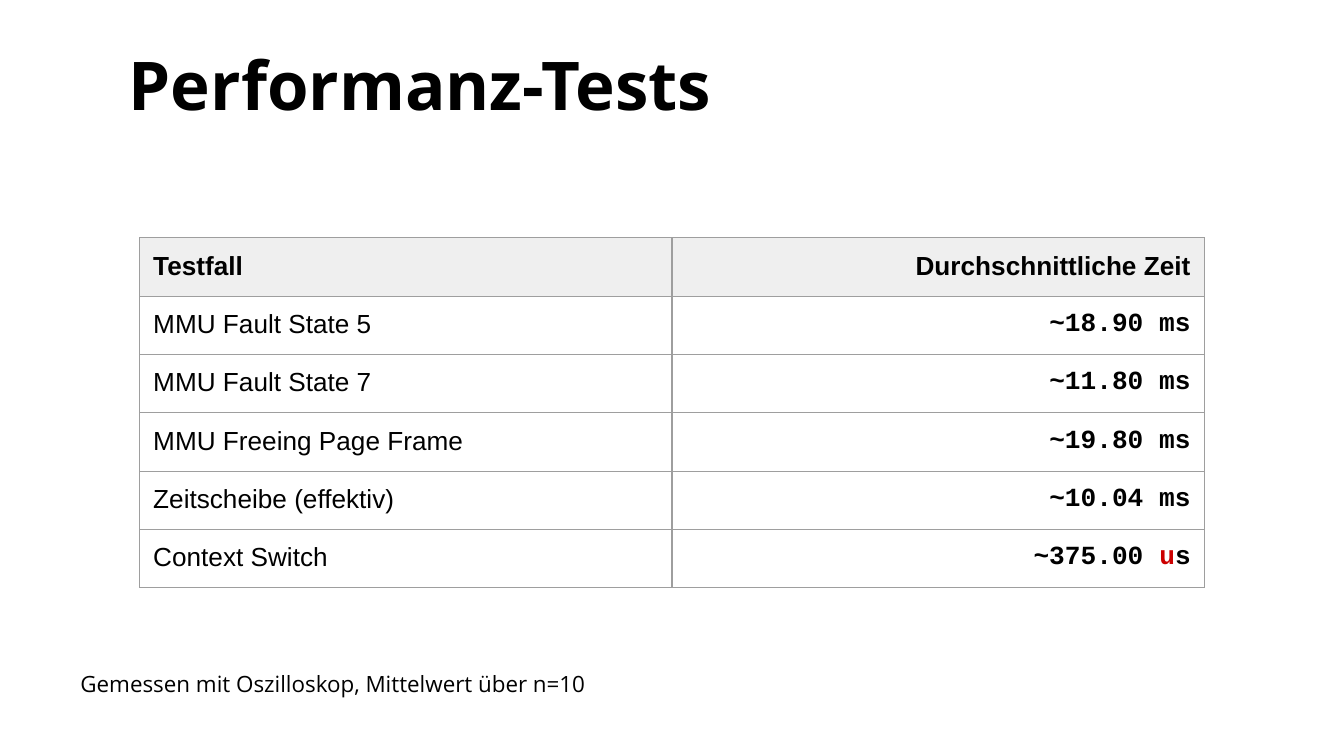
import pptx
import pptx.util
import pptx.dml.color
import pptx.enum.text
import pptx.oxml
import pptx.oxml.ns

BLACK = pptx.dml.color.RGBColor(0x00, 0x00, 0x00)
RED = pptx.dml.color.RGBColor(0xCC, 0x00, 0x00)
HEADER_GRAY = pptx.dml.color.RGBColor(0xEF, 0xEF, 0xEF)
BORDER_GRAY = pptx.dml.color.RGBColor(0x9E, 0x9E, 0x9E)

TITLE = "Performanz-Tests"
FOOTNOTE = "Gemessen mit Oszilloskop, Mittelwert über n=10"
HEADERS = ("Testfall", "Durchschnittliche Zeit")
MEASUREMENTS = [
    ("MMU Fault State 5", [("~18.90 ms", BLACK)]),
    ("MMU Fault State 7", [("~11.80 ms", BLACK)]),
    ("MMU Freeing Page Frame", [("~19.80 ms", BLACK)]),
    ("Zeitscheibe (effektiv)", [("~10.04 ms", BLACK)]),
    ("Context Switch", [("~375.00 ", BLACK), ("u", RED), ("s", BLACK)]),
]

TITLE_FORMAT = {"name": "Open Sans", "size": pptx.util.Pt(36), "bold": True}
FOOTNOTE_FORMAT = {"name": "Open Sans", "size": pptx.util.Pt(12), "bold": False}
HEADER_FORMAT = {"name": "Arial", "size": pptx.util.Pt(14), "bold": True}
LABEL_FORMAT = {**HEADER_FORMAT, "bold": False}
TIME_FORMAT = {**HEADER_FORMAT, "name": "Courier New"}

SLIDE_WIDTH = 10
SLIDE_HEIGHT = SLIDE_WIDTH * 9 / 16
TABLE_BOX = (1.04, 1.77, 7.92, 2.6)
ROW_HEIGHT = pptx.util.Pt(30)
MARGIN = pptx.util.Inches(0.1)
MARGINS = {f"margin_{side}": MARGIN for side in ("left", "right", "top", "bottom")}
ALIGNMENTS = (pptx.enum.text.PP_ALIGN.LEFT, pptx.enum.text.PP_ALIGN.RIGHT)


def set_attributes(target, values):
    for name, value in values.items():
        setattr(target, name, value)


def write_runs(paragraph, pieces, font_format):
    for text, color in pieces:
        run = paragraph.add_run()
        run.text = text
        set_attributes(run.font, font_format)
        run.font.color.rgb = color


def add_text(slide, box, text, font_format, anchor, line_spacing):
    shape = slide.shapes.add_textbox(*map(pptx.util.Inches, box))
    frame = shape.text_frame
    set_attributes(frame, {**MARGINS, "word_wrap": True, "vertical_anchor": anchor})
    frame.paragraphs[0].line_spacing = line_spacing
    write_runs(frame.paragraphs[0], [(text, BLACK)], font_format)


def add_borders(cell):
    properties = cell._tc.get_or_add_tcPr()
    namespace = pptx.oxml.ns.nsdecls("a")
    for position, side in enumerate(("lnL", "lnR", "lnT", "lnB")):
        border = pptx.oxml.parse_xml(
            f'<a:{side} {namespace} w="{pptx.util.Pt(0.75)}"><a:solidFill>'
            f'<a:srgbClr val="{BORDER_GRAY}"/></a:solidFill></a:{side}>'
        )
        properties.insert(position, border)


def add_results_table(slide):
    rows = [[([(header, BLACK)], HEADER_FORMAT) for header in HEADERS]]
    for label, time in MEASUREMENTS:
        rows.append([([(label, BLACK)], LABEL_FORMAT), (time, TIME_FORMAT)])
    box = tuple(map(pptx.util.Inches, TABLE_BOX))
    table_frame = slide.shapes.add_table(len(rows), len(HEADERS), *box)
    table = table_frame.table
    set_attributes(table, {"first_row": False, "horz_banding": False})
    for row_index, row in enumerate(rows):
        table.rows[row_index].height = ROW_HEIGHT
        for column_index, (pieces, font_format) in enumerate(row):
            cell = table.cell(row_index, column_index)
            set_attributes(cell, MARGINS)
            if row_index == 0:
                cell.fill.solid()
                cell.fill.fore_color.rgb = HEADER_GRAY
            else:
                cell.fill.background()
            add_borders(cell)
            paragraph = cell.text_frame.paragraphs[0]
            paragraph.alignment = ALIGNMENTS[column_index]
            write_runs(paragraph, pieces, font_format)
    table_frame.height = box[3]


def main():
    presentation = pptx.Presentation()
    presentation.slide_width = pptx.util.Inches(SLIDE_WIDTH)
    presentation.slide_height = pptx.util.Inches(SLIDE_HEIGHT)
    slide = presentation.slides.add_slide(presentation.slide_layouts[6])
    anchors = pptx.enum.text.MSO_ANCHOR
    add_text(slide, (0.86, 0.23, 7.8, 0.79), TITLE, TITLE_FORMAT, anchors.BOTTOM, 1.0)
    add_text(slide, (0.5, 4.86, 9, 0.54), FOOTNOTE, FOOTNOTE_FORMAT, anchors.TOP, 1.15)
    add_results_table(slide)
    presentation.save("out.pptx")


if __name__ == "__main__":
    main()
